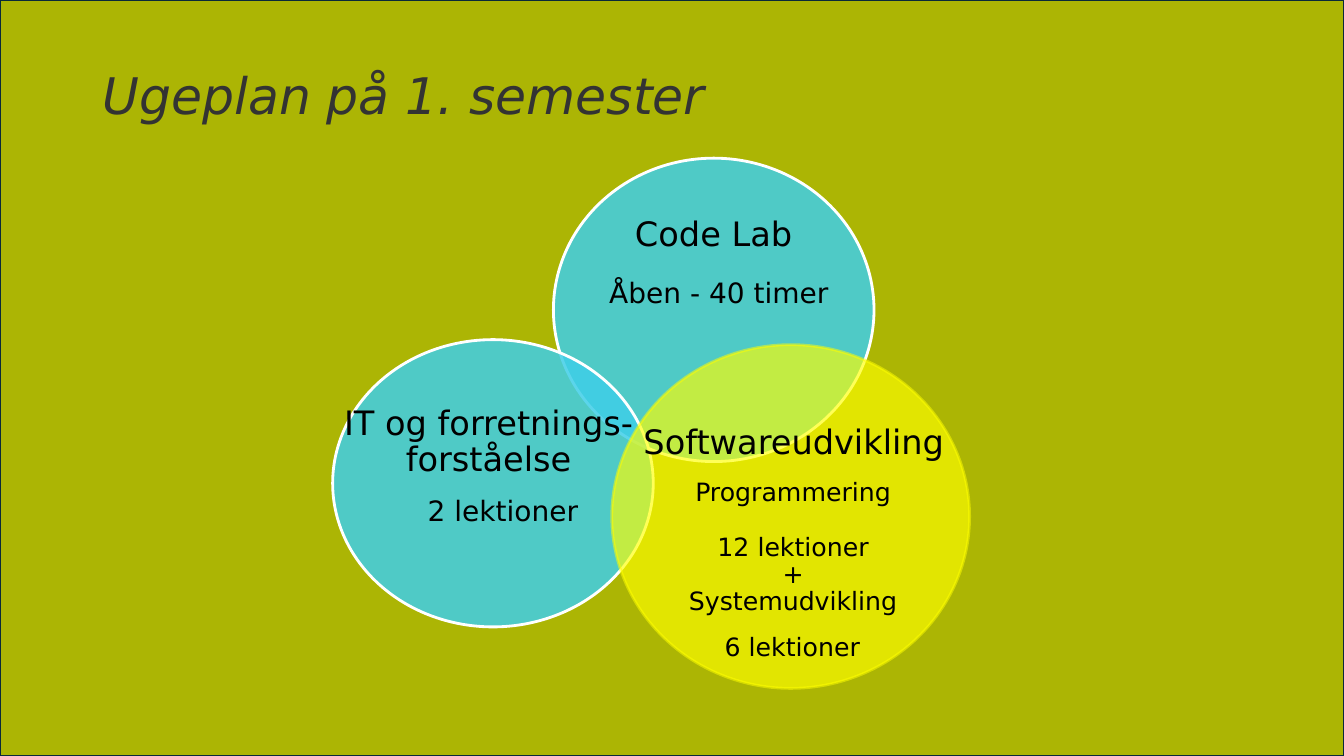
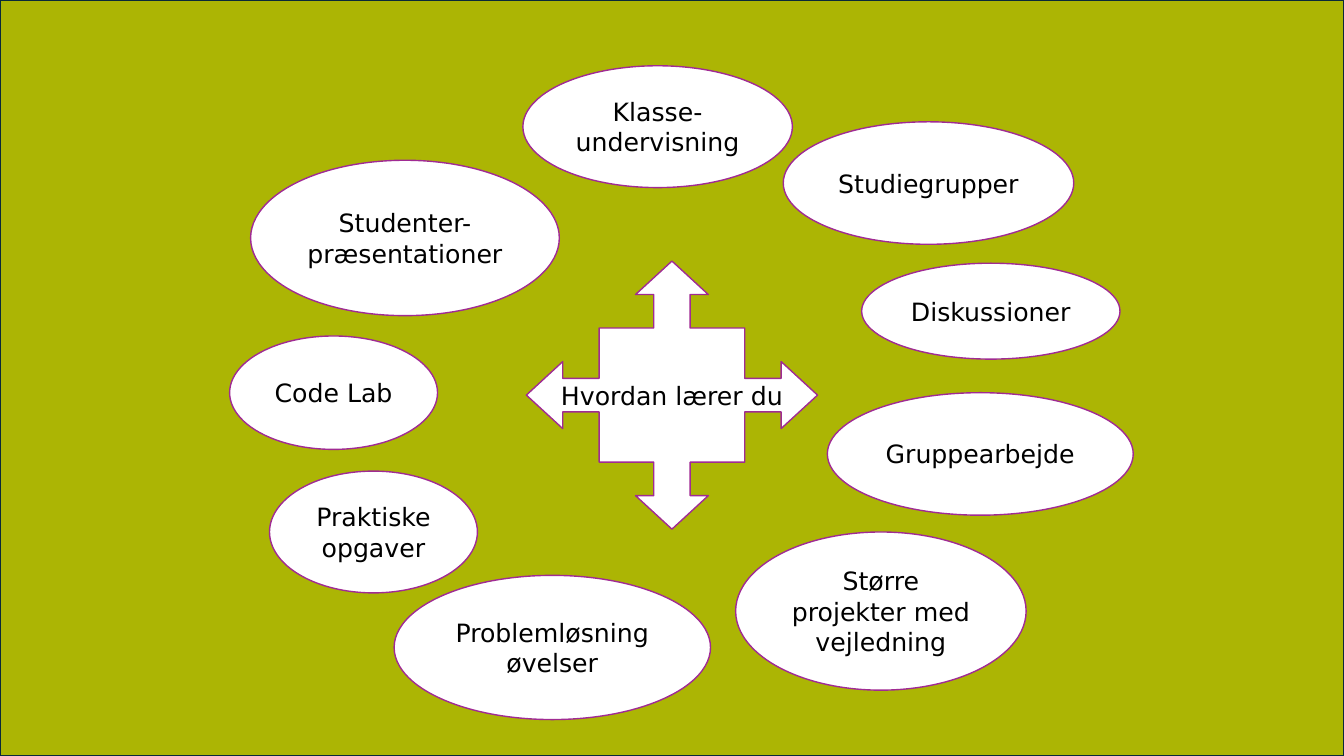
from dataclasses import dataclass

from lxml import etree
from pptx import Presentation
from pptx.dml.color import RGBColor
from pptx.enum import shapes, text
from pptx.oxml.ns import qn
from pptx.util import Pt


@dataclass(frozen=True)
class Theme:
    font: str = "DejaVu Sans"
    background: str = "ACB504"
    frame: str = "092A39"
    title: str = "333333"
    ink: str = "000000"
    white: str = "FFFFFF"
    outline: str = "A02B93"
    teal: str = "3FCEE8"
    yellow: str = "FFFF00"
    title_size: int = 36
    heading_size: int = 24
    detail_size: int = 20
    body_size: int = 18


THEME = Theme()
WIDTH, HEIGHT = 960, 540

# Boxes are left, top, width, height in points.
PLAN_TITLE = ("Ugeplan på 1. semester", (66, 29, 461, 82))
TEAL_CIRCLE = dict(fill=THEME.teal, line=THEME.white, weight=2, opacity=(85, 100))
YELLOW_CIRCLE = dict(fill=THEME.yellow, line=THEME.yellow, weight=2, opacity=(66, 51))

# Each circle: box, style, then labels as (box, size, paragraphs).
COURSES = [
    ((395.3, 113, 229, 216.7), TEAL_CIRCLE, [
        ((428.5, 150, 162.5, 36), THEME.heading_size, ["Code Lab"]),
        ((417, 194.5, 193, 31.5), THEME.detail_size, ["Åben - 40 timer"]),
    ]),
    ((237.6, 242.6, 229, 205.2), TEAL_CIRCLE, [
        ((239, 272, 220, 88.5), THEME.heading_size, ["IT og forretnings-forståelse"]),
        ((294.5, 350, 129.5, 31.5), THEME.detail_size, ["2 lektioner"]),
    ]),
    ((437, 246.2, 255.6, 245.5), YELLOW_CIRCLE, [
        ((435, 299, 264, 36), THEME.heading_size, ["Softwareudvikling"]),
        ((463, 337, 207, 108.5), THEME.body_size,
         ["Programmering", "12 lektioner\v+\vSystemudvikling"]),
        ((501, 448, 130, 29.5), THEME.body_size, ["6 lektioner"]),
    ]),
]

QUESTION = ("Hvordan lærer du", (376, 186.5, 208, 191.5))
LEARNING_FORMS = [
    (["Klasse-\vundervisning"], (373.5, 47, 192.5, 87)),
    (["Studenter-præsentationer"], (179, 114.5, 220.5, 111)),
    (["Praktiske opgaver"], (192.5, 336.5, 148.5, 87)),
    (["Problemløsning", "øvelser"], (281.5, 411, 226, 103)),
    (["Større projekter med vejledning"], (525.5, 380, 207.5, 113)),
    (["Gruppearbejde"], (591, 280.5, 218.5, 87.5)),
    (["Diskussioner"], (615.5, 188, 184.5, 68.5)),
    (["Studiegrupper"], (559.5, 87, 207.5, 87.5)),
    (["Code Lab"], (164, 240, 148.5, 81)),
]

# One arm of the four-way arrow, in eighths of its size from the centre.
ARROW_ARM = [(-2, -2), (-0.5, -2), (-0.5, -3), (-1, -3),
             (0, -4), (1, -3), (0.5, -3), (0.5, -2)]


def points(values):
    return [Pt(value) for value in values]


def apply_format(target, values):
    for name, value in values.items():
        setattr(target, name, value)


def style_shape(shape, fill, line, weight=1, opacity=None):
    """Fill and outline a shape; opacity holds fill and line percentages."""
    shape.shadow.inherit = False
    shape.fill.solid()
    shape.fill.fore_color.rgb = RGBColor.from_string(fill)
    shape.line.color.rgb = RGBColor.from_string(line)
    shape.line.width = Pt(weight)
    if opacity:
        colors = shape._element.spPr.iter(qn("a:srgbClr"))
        for color, percent in zip(colors, opacity):
            etree.SubElement(color, qn("a:alpha")).set("val", str(percent * 1000))


def write_text(shape, paragraphs, size, color=THEME.ink, italic=False,
               align=text.PP_ALIGN.CENTER, line_spacing=1.0, gap=0, margin=None):
    frame = shape.text_frame
    apply_format(frame, dict(word_wrap=True, auto_size=text.MSO_AUTO_SIZE.NONE,
                             vertical_anchor=text.MSO_ANCHOR.MIDDLE))
    if margin is not None:
        sides = ("left", "top", "right", "bottom")
        apply_format(frame, {f"margin_{side}": Pt(margin) for side in sides})
    for index, content in enumerate(paragraphs):
        paragraph = frame.add_paragraph() if index else frame.paragraphs[0]
        paragraph.text = content
        apply_format(paragraph, dict(alignment=align, line_spacing=line_spacing,
                                     space_before=Pt(gap if index else 0)))
        apply_format(paragraph.font, dict(name=THEME.font, size=Pt(size), italic=italic))
        paragraph.font.color.rgb = RGBColor.from_string(color)


def add_oval(slide, box, **style):
    oval = slide.shapes.add_shape(shapes.MSO_SHAPE.OVAL, *points(box))
    style_shape(oval, **style)
    return oval


def add_four_way_arrow(slide, box):
    left, top, width, height = box
    outline, arm = [], ARROW_ARM
    for _ in range(4):
        outline += arm
        arm = [(-y, x) for x, y in arm]
    corners = [(Pt(left + width * (x + 4) / 8), Pt(top + height * (y + 4) / 8))
               for x, y in outline]
    builder = slide.shapes.build_freeform(*corners[0])
    builder.add_line_segments(corners[1:], close=True)
    arrow = builder.convert_to_shape()
    style_shape(arrow, THEME.white, THEME.outline)
    return arrow


def add_master_background(presentation, slide):
    """Draw the framed background and move it behind everything on the master."""
    background = slide.shapes.add_shape(shapes.MSO_SHAPE.RECTANGLE,
                                        *points((0, 0, WIDTH, HEIGHT)))
    style_shape(background, THEME.background, THEME.frame, 1.5)
    presentation.slide_master.shapes._spTree.insert(2, background._element)


def build_week_plan(slide):
    title, (left, top, width, height) = PLAN_TITLE
    apply_format(slide.shapes.title, dict(left=Pt(left), top=Pt(top),
                                          width=Pt(width), height=Pt(height)))
    write_text(slide.shapes.title, [title], THEME.title_size, THEME.title, italic=True,
               align=text.PP_ALIGN.LEFT, line_spacing=0.9)
    for circle_box, style, labels in COURSES:
        add_oval(slide, circle_box, **style)
        for box, size, paragraphs in labels:
            label = slide.shapes.add_textbox(*points(box))
            write_text(label, paragraphs, size, line_spacing=0.9, gap=20, margin=5)


def build_learning_forms(slide):
    question, arrow_box = QUESTION
    write_text(add_four_way_arrow(slide, arrow_box), [question], THEME.body_size, margin=0)
    for paragraphs, box in LEARNING_FORMS:
        oval = add_oval(slide, box, fill=THEME.white, line=THEME.outline)
        write_text(oval, paragraphs, THEME.body_size)


def main():
    presentation = Presentation()
    apply_format(presentation, dict(slide_width=Pt(WIDTH), slide_height=Pt(HEIGHT)))
    title_only, blank = presentation.slide_layouts[5], presentation.slide_layouts[6]
    week_plan = presentation.slides.add_slide(title_only)
    add_master_background(presentation, week_plan)
    build_week_plan(week_plan)
    build_learning_forms(presentation.slides.add_slide(blank))
    presentation.save("out.pptx")


if __name__ == "__main__":
    main()
